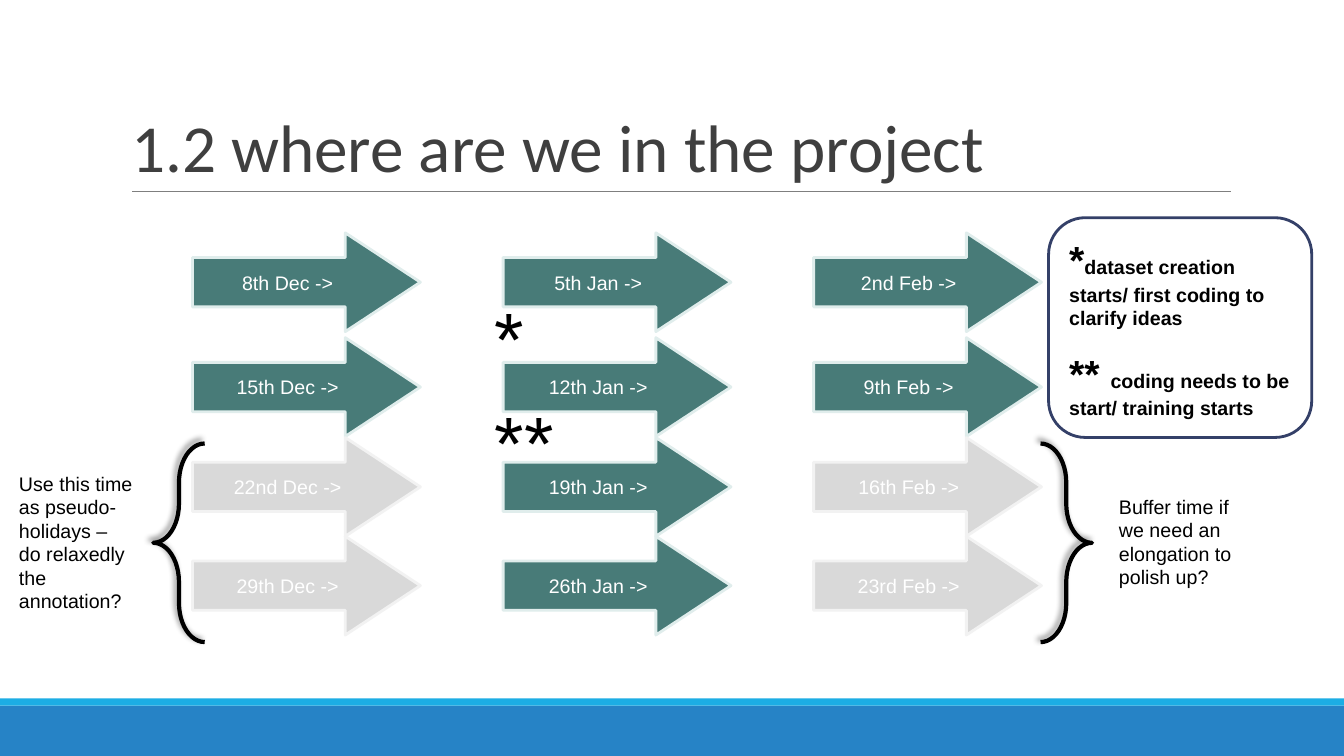
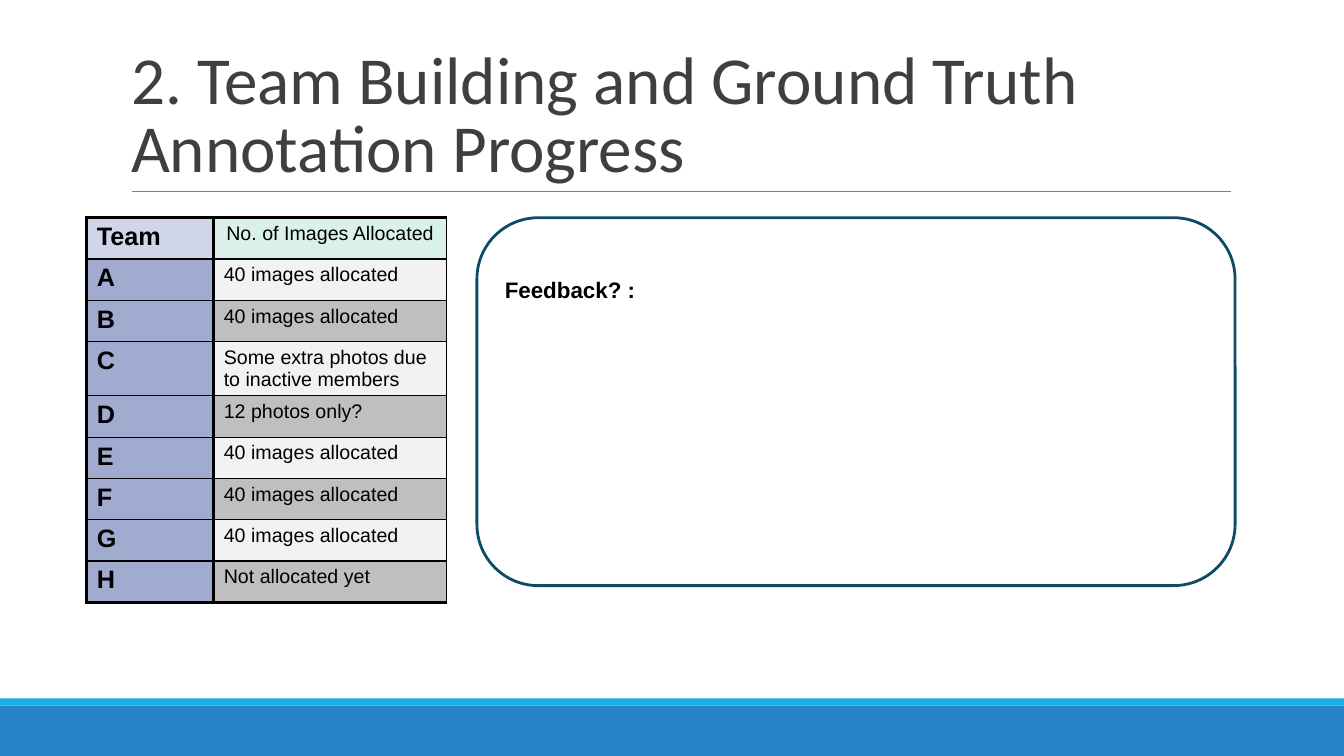
from dataclasses import dataclass

from lxml.etree import SubElement
from pptx import Presentation
from pptx.dml.color import RGBColor
from pptx.enum.shapes import MSO_CONNECTOR, MSO_SHAPE
from pptx.enum.text import MSO_ANCHOR, MSO_AUTO_SIZE, PP_ALIGN
from pptx.oxml import parse_xml
from pptx.oxml.ns import nsdecls, qn
from pptx.util import Emu, Pt

EMU_PER_PX = 9144  # 100 px to the inch


@dataclass(frozen=True)
class Theme:
    title_font: str = "Calibri"
    body_font: str = "Arial"
    black: str = "000000"
    white: str = "FFFFFF"
    title: str = "3F3F3F"
    rule: str = "7F7F7F"
    band: str = "2683C6"
    band_edge: str = "1CADE4"
    work: str = "487B78"
    work_edge: str = "E0EDEC"
    spare: str = "D9D9D9"
    spare_edge: str = "F2F2F2"
    legend_edge: str = "344068"
    feedback_edge: str = "0C4C64"
    team_head: str = "D0D5E7"
    team: str = "A1ABD0"
    images_head: str = "D9F1EA"
    images: tuple = ("F2F2F2", "BFBFBF")
    title_size: int = 48
    marker_size: int = 54
    legend_marker_size: int = 28
    team_size: int = 18
    feedback_size: int = 16
    body_size: int = 14
    thin: float = 1
    thick: float = 2.25


THEME = Theme()

ARROW_TOPS = (231, 335, 434, 532)
FIRST_ARROW_LEFT, ARROW_PITCH = 191, 308
SCHEDULE = (
    (("8th Dec", True), ("15th Dec", True), ("22nd Dec", False), ("29th Dec", False)),
    (("5th Jan", True), ("12th Jan", True), ("19th Jan", True), ("26th Jan", True)),
    (("2nd Feb", True), ("9th Feb", True), ("16th Feb", False), ("23rd Feb", False)),
)
FULL_SHARE = "40 images allocated"
ALLOCATION = (
    ("Team", "No. of Images Allocated"),
    ("A", FULL_SHARE),
    ("B", FULL_SHARE),
    ("C", "Some extra photos due to inactive members"),
    ("D", "12 photos only?"),
    ("E", FULL_SHARE),
    ("F", FULL_SHARE),
    ("G", FULL_SHARE),
    ("H", "Not allocated yet"),
)


def px(*lengths):
    return [Emu(length * EMU_PER_PX) for length in lengths]


def rgb(color):
    return RGBColor.from_string(color)


def add_span(para, text, size=THEME.body_size, color=THEME.black, bold=False,
             font=THEME.body_font):
    span = para.add_run()
    span.text = text
    span.font.name = font
    span.font.size = Pt(size)
    span.font.bold = bold
    span.font.color.rgb = rgb(color)


def add_box(shapes, kind, at, fill=None, edge=None, weight=2):
    """Add a preset shape whose text is left aligned."""
    box = shapes.add_shape(kind, *px(*at))
    box.shadow.inherit = False
    if fill:
        box.fill.solid()
        box.fill.fore_color.rgb = rgb(fill)
    else:
        box.fill.background()
    if edge:
        box.line.color.rgb = rgb(edge)
        box.line.width = Pt(weight)
    else:
        box.line.fill.background()
    box.text_frame.word_wrap = True
    box.text_frame.paragraphs[0].alignment = PP_ALIGN.LEFT
    return box


def add_note(page, at, text, size=THEME.body_size):
    frame = page.shapes.add_textbox(*px(*at)).text_frame
    frame.word_wrap = True
    add_span(frame.paragraphs[0], text, size)


def add_week_arrow(shapes, left, top, week, is_work):
    fill, edge = ((THEME.work, THEME.work_edge) if is_work
                  else (THEME.spare, THEME.spare_edge))
    arrow = add_box(shapes, MSO_SHAPE.RIGHT_ARROW, (left, top, 226, 98), fill, edge)
    arrow.adjustments[1] = 0.76
    para = arrow.text_frame.paragraphs[0]
    para.alignment = PP_ALIGN.CENTER
    add_span(para, f"{week} ->", color=THEME.white)


def add_brace(page, left, rotation=0):
    brace = add_box(page.shapes, MSO_SHAPE.LEFT_BRACE, (left, 440, 51, 197),
                    edge=THEME.black, weight=3)
    brace.adjustments[0] = 0.76
    brace.rotation = rotation
    effects = brace.element.spPr.find(qn("a:effectLst"))
    effects.append(parse_xml(
        f'<a:outerShdw {nsdecls("a")} blurRad="{Pt(4)}" dist="{Pt(3)}" '
        f'dir="{225 * 60000}" rotWithShape="0"><a:srgbClr val="{THEME.black}">'
        '<a:alpha val="40000"/></a:srgbClr></a:outerShdw>'))


def style_layout(layout):
    """Keep only the title placeholder and set its place."""
    for holder in list(layout.placeholders):
        if holder.placeholder_format.idx:
            holder.element.getparent().remove(holder.element)
    title = layout.placeholders[0]
    title.left, title.top, title.width, title.height = px(120, 31, 1100, 159)
    frame = title.text_frame
    frame.vertical_anchor = MSO_ANCHOR.BOTTOM
    frame.auto_size = MSO_AUTO_SIZE.NONE
    frame.margin_left, frame.margin_top, frame.margin_right, frame.margin_bottom = px(10, 5, 10, 5)


def add_bands(layout, page):
    """Draw the bands and title rule on a page, then move them to its layout."""
    rule = page.shapes.add_connector(MSO_CONNECTOR.STRAIGHT, *px(131, 190, 1221, 190))
    rule.line.color.rgb = rgb(THEME.rule)
    rule.line.width = Pt(0.75)
    SubElement(rule.element.spPr, qn("a:effectLst"))
    parts = (
        add_box(page.shapes, MSO_SHAPE.RECTANGLE, (0, 700, 1333, 50), THEME.band),
        add_box(page.shapes, MSO_SHAPE.RECTANGLE, (0, 693, 1333, 7), THEME.band_edge),
        rule,
    )
    for index, part in enumerate(parts, start=2):
        layout.shapes.element.insert(index, part.element)


def add_page(deck, layout, title):
    page = deck.slides.add_slide(layout)
    para = page.shapes.title.text_frame.paragraphs[0]
    para.alignment = PP_ALIGN.LEFT
    para.line_spacing = 0.85
    add_span(para, title, THEME.title_size, THEME.title, font=THEME.title_font)
    return page


def add_legend(page):
    legend = add_box(page.shapes, MSO_SHAPE.ROUNDED_RECTANGLE, (1040, 216, 261, 218),
                     THEME.white, THEME.legend_edge)
    frame = legend.text_frame
    first = frame.paragraphs[0]
    add_span(first, "*", THEME.legend_marker_size, bold=True)
    add_span(first, "dataset creation starts/ first coding to clarify ideas", bold=True)
    second = frame.add_paragraph()
    second.alignment = PP_ALIGN.LEFT
    second.space_before = Pt(14)
    add_span(second, "** ", THEME.legend_marker_size, bold=True)
    add_span(second, "coding needs to be start/ training starts", bold=True)


def fill_schedule(page):
    for month, weeks in enumerate(SCHEDULE):
        group = page.shapes.add_group_shape()
        left = FIRST_ARROW_LEFT + month * ARROW_PITCH
        for top, (week, is_work) in zip(ARROW_TOPS, weeks):
            add_week_arrow(group.shapes, left, top, week, is_work)
    add_brace(page, 152)
    add_note(page, (9, 463, 133, 151),
             "Use this time as pseudo-holidays – do relaxedly the annotation?")
    add_brace(page, 1032, rotation=180)
    add_note(page, (1100, 486, 133, 104),
             "Buffer time if we need an elongation to polish up?")
    for top, marker in ((284, "*"), (387, "**")):
        add_note(page, (481, top, 118, 101), marker, THEME.marker_size)
    add_legend(page)


def set_borders(cell, **weights):
    """Draw cell edges; weights come in the order L, R, T, B."""
    properties = cell._tc.get_or_add_tcPr()
    for index, (side, weight) in enumerate(weights.items()):
        properties.insert(index, parse_xml(
            f'<a:ln{side} {nsdecls("a")} w="{Pt(weight)}"><a:solidFill>'
            f'<a:srgbClr val="{THEME.black}"/></a:solidFill></a:ln{side}>'))


def cell_fill(row, column):
    if column == 0:
        return THEME.team if row else THEME.team_head
    return THEME.images[(row - 1) % 2] if row else THEME.images_head


def add_allocation_table(page):
    row_height = 41
    table = page.shapes.add_table(
        len(ALLOCATION), 2, *px(86, 216, 357, row_height * len(ALLOCATION))).table
    table.first_row = table.horz_banding = False
    for column, width in zip(table.columns, px(126, 231)):
        column.width = width
    last = len(ALLOCATION) - 1
    for row, texts in enumerate(ALLOCATION):
        for column, text in enumerate(texts):
            is_team = column == 0
            cell = table.cell(row, column)
            cell.fill.solid()
            cell.fill.fore_color.rgb = rgb(cell_fill(row, column))
            para = cell.text_frame.paragraphs[0]
            if row == 0 and not is_team:
                para.alignment = PP_ALIGN.CENTER
            add_span(para, text, THEME.team_size if is_team else THEME.body_size,
                     bold=is_team)
            thick_top = row == 0 or (row == 1 and not is_team)
            thick_bottom = row == last or (row == 0 and not is_team)
            set_borders(cell, L=THEME.thick,
                        R=THEME.thick if is_team else THEME.thin,
                        T=THEME.thick if thick_top else THEME.thin,
                        B=THEME.thick if thick_bottom else THEME.thin)


def add_feedback(page):
    box = add_box(page.shapes, MSO_SHAPE.ROUNDED_RECTANGLE, (473, 216, 752, 365),
                  edge=THEME.feedback_edge)
    frame = box.text_frame
    frame.vertical_anchor = MSO_ANCHOR.TOP
    [frame.margin_top] = px(40)
    add_span(frame.paragraphs[0], "Feedback? :", THEME.feedback_size, bold=True)


def main():
    deck = Presentation()
    deck.slide_width, deck.slide_height = px(1333, 750)
    layout = deck.slide_layouts.get_by_name("Title Only")
    style_layout(layout)

    schedule = add_page(deck, layout, "1.2 where are we in the project")
    add_bands(layout, schedule)
    fill_schedule(schedule)

    team = add_page(deck, layout, "2. Team Building and Ground Truth Annotation Progress")
    add_allocation_table(team)
    add_feedback(team)

    deck.save("out.pptx")


if __name__ == "__main__":
    main()
